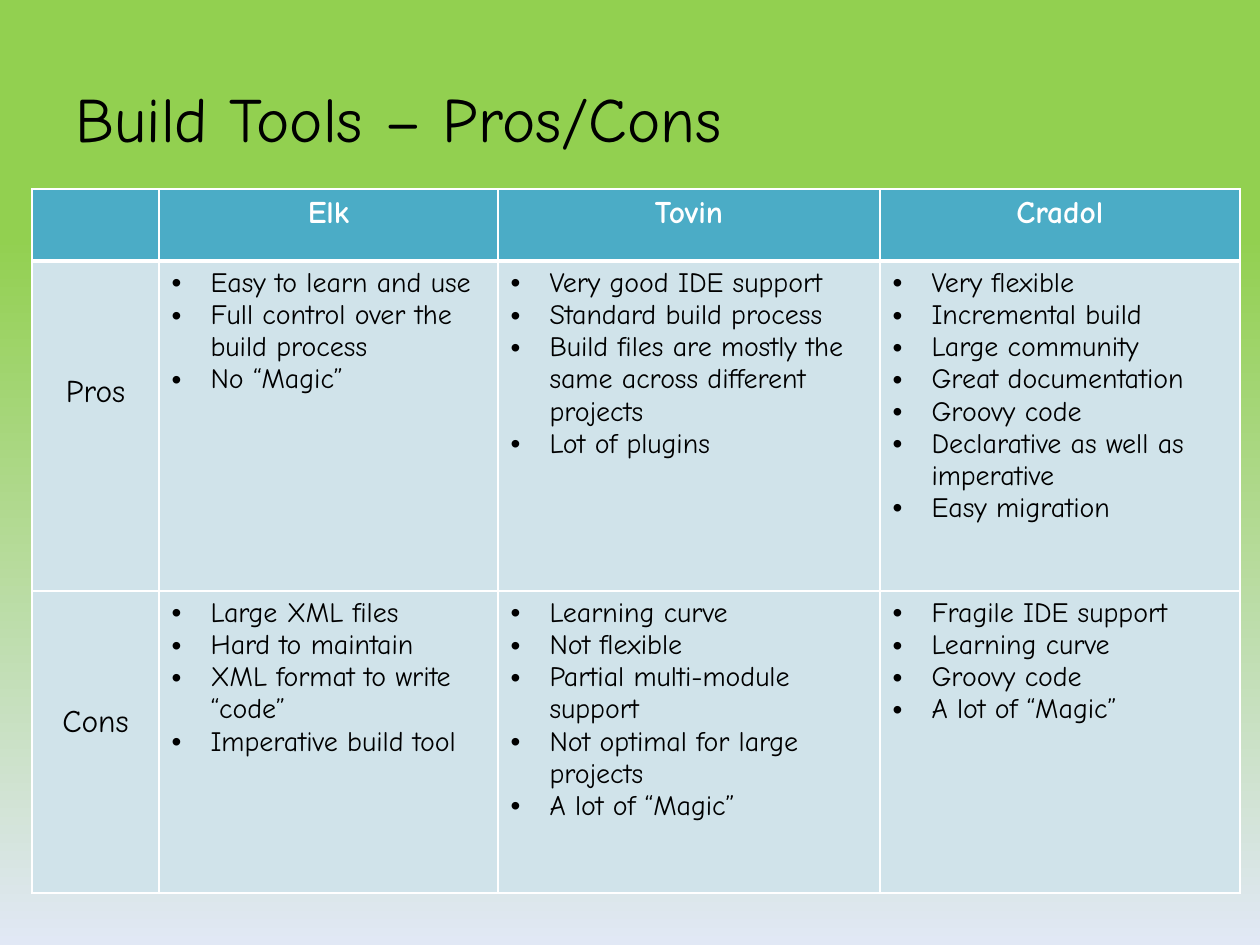
import copy
import pptx
import pptx.util
import pptx.dml.color
import pptx.enum.text
import pptx.oxml
import pptx.oxml.ns
import lxml.etree

PX = 914400 / 126
ALIGN = pptx.enum.text.PP_ALIGN
ANCHOR = pptx.enum.text.MSO_ANCHOR
qn = pptx.oxml.ns.qn


def px(n):
    return pptx.util.Emu(round(n * PX))


def rgb(value):
    return pptx.dml.color.RGBColor.from_string(value)


class Deck:
    font = "Comic Neue"
    ink = "000000"
    white = "FFFFFF"
    header = "4BACC6"
    body = "D0E3EA"

    def __init__(self, width, height):
        self.prs = pptx.Presentation()
        self.prs.slide_width, self.prs.slide_height = px(width), px(height)

    def slide(self):
        self.s = self.prs.slides.add_slide(self.prs.slide_layouts[5])

    def background(self, stops):
        fill = self.s.background.fill
        fill.gradient()
        fill.gradient_angle = 270
        gs_list = next(self.s._element.iter(qn("a:gsLst")))
        while len(gs_list) < len(stops):
            gs_list.append(copy.deepcopy(gs_list[-1]))
        for stop, (position, color) in zip(fill.gradient_stops, stops):
            stop.position = position
            stop.color.rgb = rgb(color)

    def style(self, p, size, color, bold=False, align=ALIGN.LEFT):
        p.alignment = align
        p.font.name = self.font
        p.font.size = pptx.util.Pt(size)
        p.font.bold = bold
        p.font.color.rgb = rgb(color)

    def title(self, text, x, y, w, h):
        sp = self.s.shapes.title
        sp.left, sp.top, sp.width, sp.height = px(x), px(y), px(w), px(h)
        tf = sp.text_frame
        tf.text = text
        tf.word_wrap = True
        tf.vertical_anchor = ANCHOR.MIDDLE
        self.style(tf.paragraphs[0], 36, self.ink)

    def table(self, x, y, cols, rows):
        shape = self.s.shapes.add_table(len(rows), len(cols), px(x), px(y), px(sum(cols)), px(sum(rows)))
        table = shape.table
        for column, width in zip(table.columns, cols):
            column.width = px(width)
        for row, height in zip(table.rows, rows):
            row.height = px(height)
        return table

    def borders(self, cell, bottom):
        tcPr = cell._tc.get_or_add_tcPr()
        for i, (side, width) in enumerate((("L", 1), ("R", 1), ("T", 1), ("B", bottom))):
            ln = lxml.etree.Element(qn("a:ln" + side), w=str(pptx.util.Pt(width)))
            fill = lxml.etree.SubElement(ln, qn("a:solidFill"))
            lxml.etree.SubElement(fill, qn("a:srgbClr"), val=self.white)
            tcPr.insert(i, ln)

    def cell(self, cell, fill, bottom=1):
        cell.fill.solid()
        cell.fill.fore_color.rgb = rgb(fill)
        self.borders(cell, bottom)

    def heading(self, cell, text):
        self.cell(cell, self.header, 3)
        cell.text = text
        self.style(cell.text_frame.paragraphs[0], 18, self.white, True, ALIGN.CENTER)

    def label(self, cell, text):
        self.cell(cell, self.body)
        cell.text = text
        cell.margin_top = px(113)
        self.style(cell.text_frame.paragraphs[0], 18, self.ink, align=ALIGN.CENTER)

    def bullets(self, cell, items):
        self.cell(cell, self.body)
        cell.text = "\n".join(items)
        for p in cell.text_frame.paragraphs:
            self.style(p, 16, self.ink)
            pPr = p._p.get_or_add_pPr()
            pPr.set("marL", str(px(39)))
            pPr.set("indent", str(px(-39)))
            bullet_font = lxml.etree.Element(qn("a:buFont"), typeface="Arial")
            bullet = lxml.etree.Element(qn("a:buChar"), char="•")
            pPr.insert(0, bullet_font)
            pPr.insert(1, bullet)


TOOLS = ["", "Elk", "Tovin", "Cradol"]
REVIEWS = {
    "Pros": [
        ["Easy to learn and use", "Full control over the build process", "No “Magic”"],
        ["Very good IDE support", "Standard build process",
         "Build files are mostly the same across different projects", "Lot of plugins"],
        ["Very flexible", "Incremental build", "Large community", "Great documentation",
         "Groovy code", "Declarative as well as imperative", "Easy migration"],
    ],
    "Cons": [
        ["Large XML files", "Hard to maintain", "XML format to write “code”", "Imperative build tool"],
        ["Learning curve", "Not flexible", "Partial multi-module support",
         "Not optimal for large projects", "A lot of “Magic”"],
        ["Fragile IDE support", "Learning curve", "Groovy code", "A lot of “Magic”"],
    ],
}

deck = Deck(1260, 945)
deck.slide()
deck.background([(0, "92D050"), (0.25, "92D050"), (1, "E1E8F5")])
deck.title("Build Tools – Pros/Cons", 63, 38, 1134, 158)
table = deck.table(32, 189, [127, 339, 382, 360], [72, 330, 302])
for col, tool in enumerate(TOOLS):
    deck.heading(table.cell(0, col), tool)
for row, (name, reviews) in enumerate(REVIEWS.items(), 1):
    deck.label(table.cell(row, 0), name)
    for col, items in enumerate(reviews, 1):
        deck.bullets(table.cell(row, col), items)
deck.prs.save("out.pptx")
